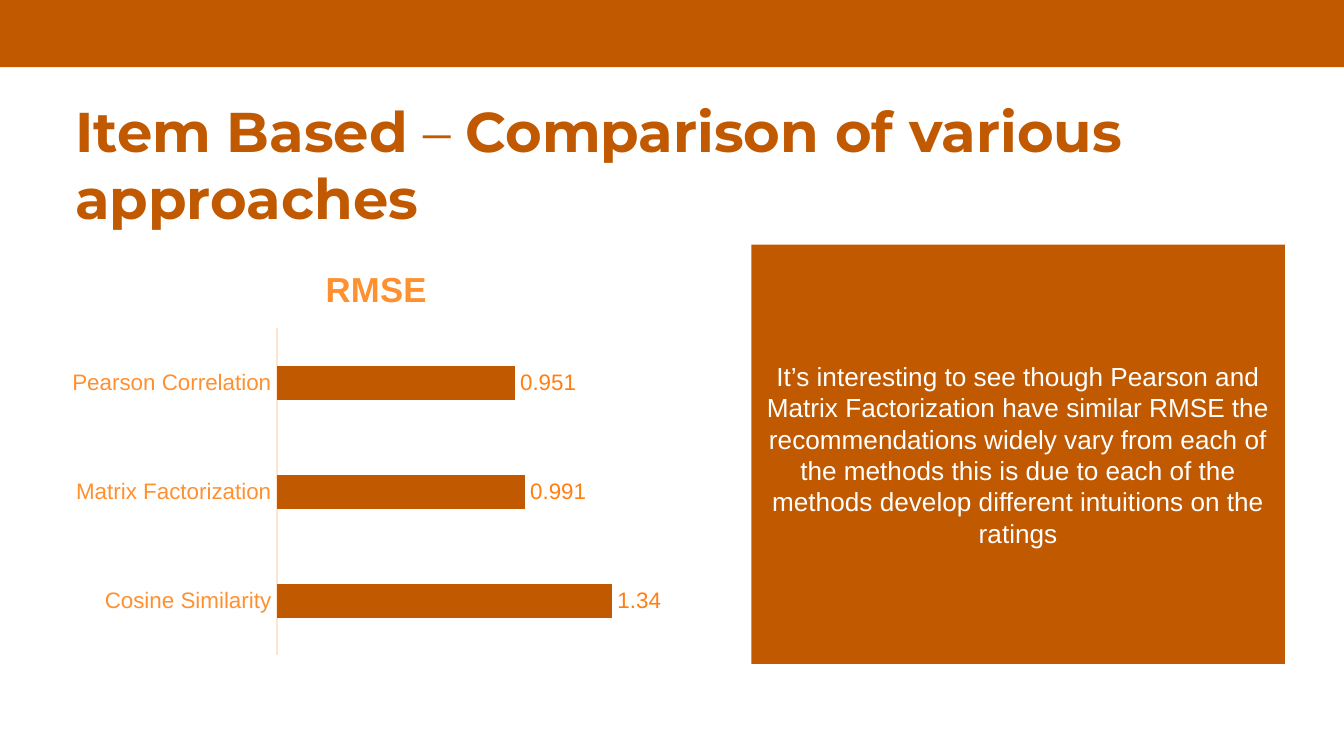
"""Build a slide comparing the RMSE of item-based recommendation approaches."""
from lxml import etree
from pptx import Presentation
from pptx import util as u
from pptx.chart.data import CategoryChartData
from pptx.dml.color import RGBColor
from pptx.enum import chart as ch, shapes, text
from pptx.oxml.ns import qn

RUST = RGBColor(0xC0, 0x59, 0x00)
ORANGE = RGBColor(0xFF, 0x90, 0x30)
LABEL_ORANGE = RGBColor(0xFF, 0x7F, 0x11)
PEACH = RGBColor(0xFF, 0xE5, 0xCF)
WHITE = RGBColor(0xFF, 0xFF, 0xFF)


def style(font, size, color, name="Arial", bold=False):
    font.size, font.name, font.bold = u.Pt(size), name, bold
    font.color.rgb = color


def write(paragraph, words, **look):
    run = paragraph.add_run()
    run.text = words
    style(run.font, **look)


deck = Presentation()
deck.slide_width = u.Inches(10)
deck.slide_height = deck.slide_width * 9 // 16
slide = deck.slides.add_slide(deck.slide_layouts[5])
row_top, row_height = u.Inches(1.82), u.Inches(3.12)
chart_width = 4.7

panels = []
for box in ((0, 0, deck.slide_width, u.Inches(0.5)),
            (u.Inches(5.59), row_top, u.Inches(3.97), row_height)):
    panel = slide.shapes.add_shape(shapes.MSO_SHAPE.RECTANGLE, *box)
    panel.shadow.inherit = False
    panel.fill.solid()
    panel.fill.fore_color.rgb = RUST
    panel.line.fill.background()
    panels.append(panel)

finding = panels[1].text_frame
finding.word_wrap = True
finding.vertical_anchor = text.MSO_ANCHOR.MIDDLE
finding.paragraphs[0].alignment = text.PP_ALIGN.CENTER
write(finding.paragraphs[0],
      "It’s interesting to see though Pearson and Matrix Factorization have "
      "similar RMSE the recommendations widely vary from each of the methods "
      "this is due to each of the methods develop different intuitions on the "
      "ratings", size=14, color=WHITE)

scores = CategoryChartData()
scores.categories = ["Cosine Similarity", "Matrix Factorization", "Pearson Correlation"]
scores.add_series("Series 1", (1.34, 0.991, 0.951))
rmse = slide.shapes.add_chart(ch.XL_CHART_TYPE.BAR_CLUSTERED, u.Inches(0.45), row_top,
                              u.Inches(chart_width), row_height, scores).chart
style(rmse.font, 10, RUST)
rmse.has_legend = False
rmse.has_title = True
write(rmse.chart_title.text_frame.paragraphs[0], "RMSE", size=18.6, color=ORANGE, bold=True)
rmse.chart_title.include_in_layout = False

methods = rmse.category_axis
methods.major_tick_mark = methods.minor_tick_mark = ch.XL_TICK_MARK.NONE
methods.format.line.color.rgb = PEACH
methods.format.line.width = u.Pt(0.75)
style(methods.tick_labels.font, 12, ORANGE)
error = rmse.value_axis
error.minimum_scale, error.maximum_scale = 0, 1.6
error.has_major_gridlines = False
error.visible = False

bars = rmse.plots[0]
bars.gap_width = 219
bars.vary_by_categories = False
bars.series[0].format.fill.solid()
bars.series[0].format.fill.fore_color.rgb = RUST
bars.has_data_labels = True
bars.data_labels.show_value = True
bars.data_labels.position = ch.XL_LABEL_POSITION.OUTSIDE_END
style(bars.data_labels.font, 12, LABEL_ORANGE)

plot_area = rmse.element.find(".//" + qn("c:plotArea"))
for default_layout in plot_area.findall(qn("c:layout")):
    plot_area.remove(default_layout)
layout = etree.Element(qn("c:layout"))
manual = etree.SubElement(layout, qn("c:manualLayout"))
for tag, value in (("layoutTarget", "inner"), ("xMode", "edge"), ("yMode", "edge"),
                   ("x", 1.61 / chart_width), ("y", 0.2),
                   ("w", 2.98 / chart_width), ("h", 0.78)):
    etree.SubElement(manual, qn("c:" + tag)).set("val", str(value))
plot_area.insert(0, layout)

title = slide.shapes.title
title.left, title.top = u.Inches(0.55), u.Inches(0.71)
title.width, title.height = u.Inches(9.23), u.Inches(1.04)
heading = title.text_frame
heading.word_wrap = True
heading.auto_size = text.MSO_AUTO_SIZE.SHAPE_TO_FIT_TEXT
heading.vertical_anchor = text.MSO_ANCHOR.TOP
heading.margin_left = heading.margin_right = heading.margin_bottom = 0
heading.margin_top = u.Inches(0.01)
heading_line = heading.paragraphs[0]
heading_line.alignment = text.PP_ALIGN.LEFT
heading_line.space_before = u.Pt(1)
heading_line._p.get_or_add_pPr().set("marL", str(u.Inches(0.01)))
for words, bold in (("Item Based", True), (" – ", False),
                    ("Comparison of various approaches", True)):
    write(heading_line, words, size=30, color=RUST, name="Montserrat", bold=bold)

deck.save("out.pptx")
